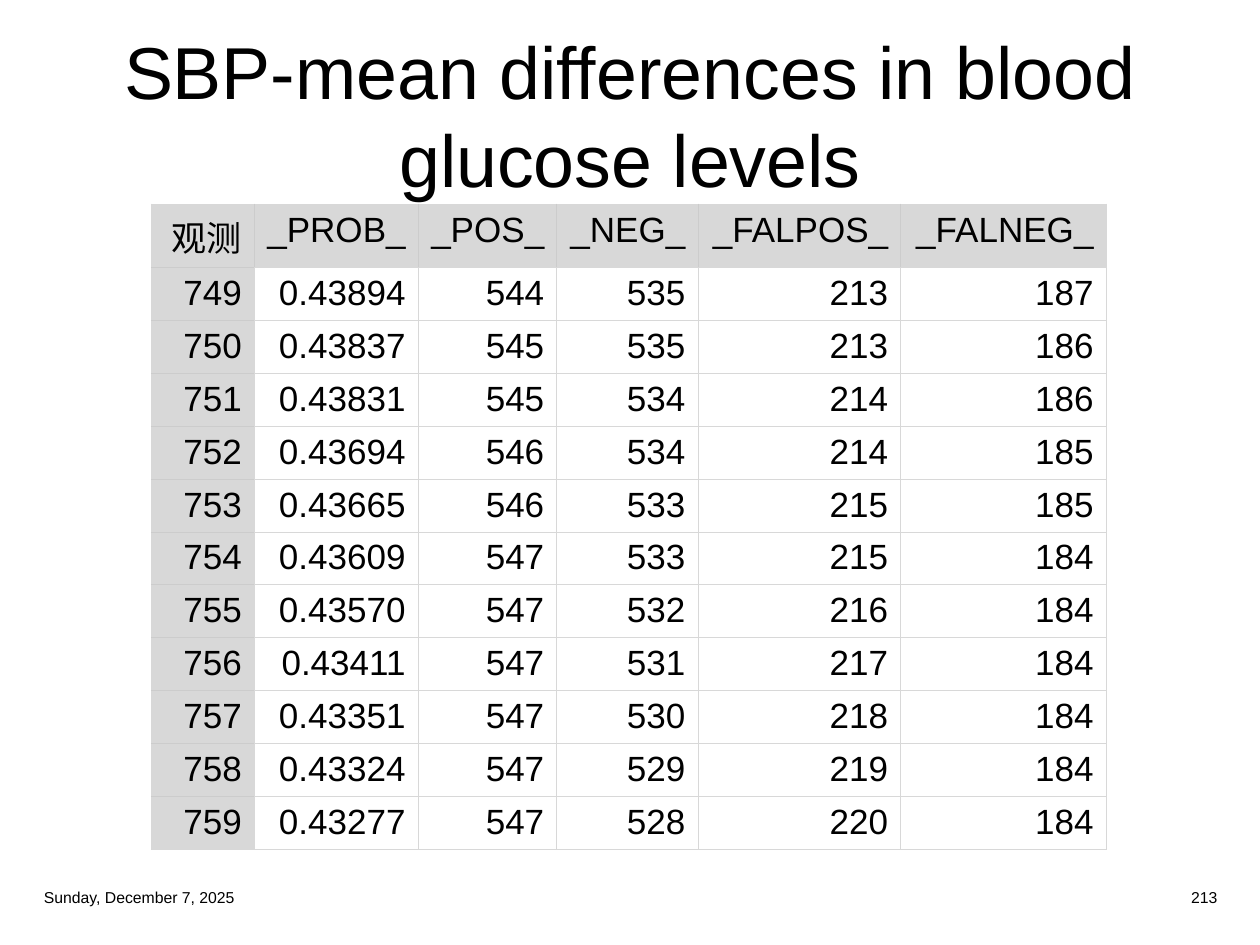
from dataclasses import dataclass

from lxml.etree import SubElement
from pptx import Presentation
from pptx.dml.color import RGBColor
from pptx.enum.text import MSO_ANCHOR as Anchor, MSO_AUTO_SIZE as AutoSize, PP_ALIGN as Align
from pptx.oxml.ns import qn
from pptx.util import Inches, Pt


@dataclass(frozen=True)
class Theme:
    font: str = "Arial"
    ink: str = "000000"
    band: str = "D8D8D8"
    band_rule: str = "CCCCCC"
    rule_width: float = 0.5
    title_size: int = 42
    table_size: int = 20
    footer_size: int = 9


THEME = Theme()

TITLE = "SBP-mean differences in blood\vglucose levels"
HEADINGS = ["观测", "_PROB_", "_POS_", "_NEG_", "_FALPOS_", "_FALNEG_"]
OBSERVATIONS = [
    ["749", "0.43894", "544", "535", "213", "187"],
    ["750", "0.43837", "545", "535", "213", "186"],
    ["751", "0.43831", "545", "534", "214", "186"],
    ["752", "0.43694", "546", "534", "214", "185"],
    ["753", "0.43665", "546", "533", "215", "185"],
    ["754", "0.43609", "547", "533", "215", "184"],
    ["755", "0.43570", "547", "532", "216", "184"],
    ["756", "0.43411", "547", "531", "217", "184"],
    ["757", "0.43351", "547", "530", "218", "184"],
    ["758", "0.43324", "547", "529", "219", "184"],
    ["759", "0.43277", "547", "528", "220", "184"],
]
COLUMN_WIDTHS = [0.82, 1.3, 1.1, 1.12, 1.61, 1.63]
ROW_HEIGHT = 0.42


def format_text(frame, size, align):
    for paragraph in frame.paragraphs:
        paragraph.alignment = align
        for run in paragraph.runs:
            run.font.name = THEME.font
            run.font.size = Pt(size)
            run.font.bold = False
            run.font.color.rgb = RGBColor.from_string(THEME.ink)


def set_borders(cell, colors):
    """Draw the cell's rules; colors maps L, R, T, B in that order."""
    properties = cell._tc.get_or_add_tcPr()
    for side, color in colors.items():
        line = SubElement(properties, qn(f"a:ln{side}"), w=str(Pt(THEME.rule_width)))
        fill = SubElement(line, qn("a:solidFill"))
        SubElement(fill, qn("a:srgbClr"), val=color)


def add_title(slide, left, top, width, height):
    title = slide.shapes.title
    title.left, title.top = Inches(left), Inches(top)
    title.width, title.height = Inches(width), Inches(height)
    frame = title.text_frame
    frame.text = TITLE
    frame.word_wrap = True
    frame.auto_size = AutoSize.NONE
    frame.vertical_anchor = Anchor.MIDDLE
    format_text(frame, THEME.title_size, Align.CENTER)


def add_observations(slide, left, top):
    rows = [HEADINGS] + OBSERVATIONS
    last_row, last_column = len(rows) - 1, len(HEADINGS) - 1
    table = slide.shapes.add_table(
        len(rows), len(HEADINGS), Inches(left), Inches(top),
        Inches(sum(COLUMN_WIDTHS)), Inches(ROW_HEIGHT * len(rows))).table
    table.first_row = table.horz_banding = False
    for column, width in zip(table.columns, COLUMN_WIDTHS):
        column.width = Inches(width)

    for r, values in enumerate(rows):
        table.rows[r].height = Inches(ROW_HEIGHT)
        for c, value in enumerate(values):
            cell = table.cell(r, c)
            cell.text = value
            format_text(cell.text_frame, THEME.table_size, Align.RIGHT)
            # The heading row and number column are grey, with darker inner rules
            in_band = r == 0 or c == 0
            outer = {"L": c == 0, "R": c == last_column, "T": r == 0, "B": r == last_row}
            set_borders(cell, {
                side: THEME.band_rule if in_band and not at_edge else THEME.band
                for side, at_edge in outer.items()})
            if in_band:
                cell.fill.solid()
                cell.fill.fore_color.rgb = RGBColor.from_string(THEME.band)
            else:
                cell.fill.background()


def add_footer(slide, left, top, width, height):
    part_width = 2.38
    parts = [("Sunday, December 7, 2025", left, Align.LEFT),
             ("213", left + width - part_width, Align.RIGHT)]
    for text, x, align in parts:
        frame = slide.shapes.add_textbox(
            Inches(x), Inches(top), Inches(part_width), Inches(height)).text_frame
        frame.text = text
        frame.word_wrap = True
        frame.vertical_anchor = Anchor.MIDDLE
        format_text(frame, THEME.footer_size, align)


def main():
    deck = Presentation()
    deck.slide_width, deck.slide_height = Inches(10), Inches(7.5)
    slide = deck.slides.add_slide(deck.slide_layouts[5])  # title only
    add_title(slide, 0.25, 0.25, 9.5, 1.31)
    add_observations(slide, 1.2, 1.62)
    add_footer(slide, 0.25, 6.99, 9.51, 0.26)
    deck.save("out.pptx")


if __name__ == "__main__":
    main()
